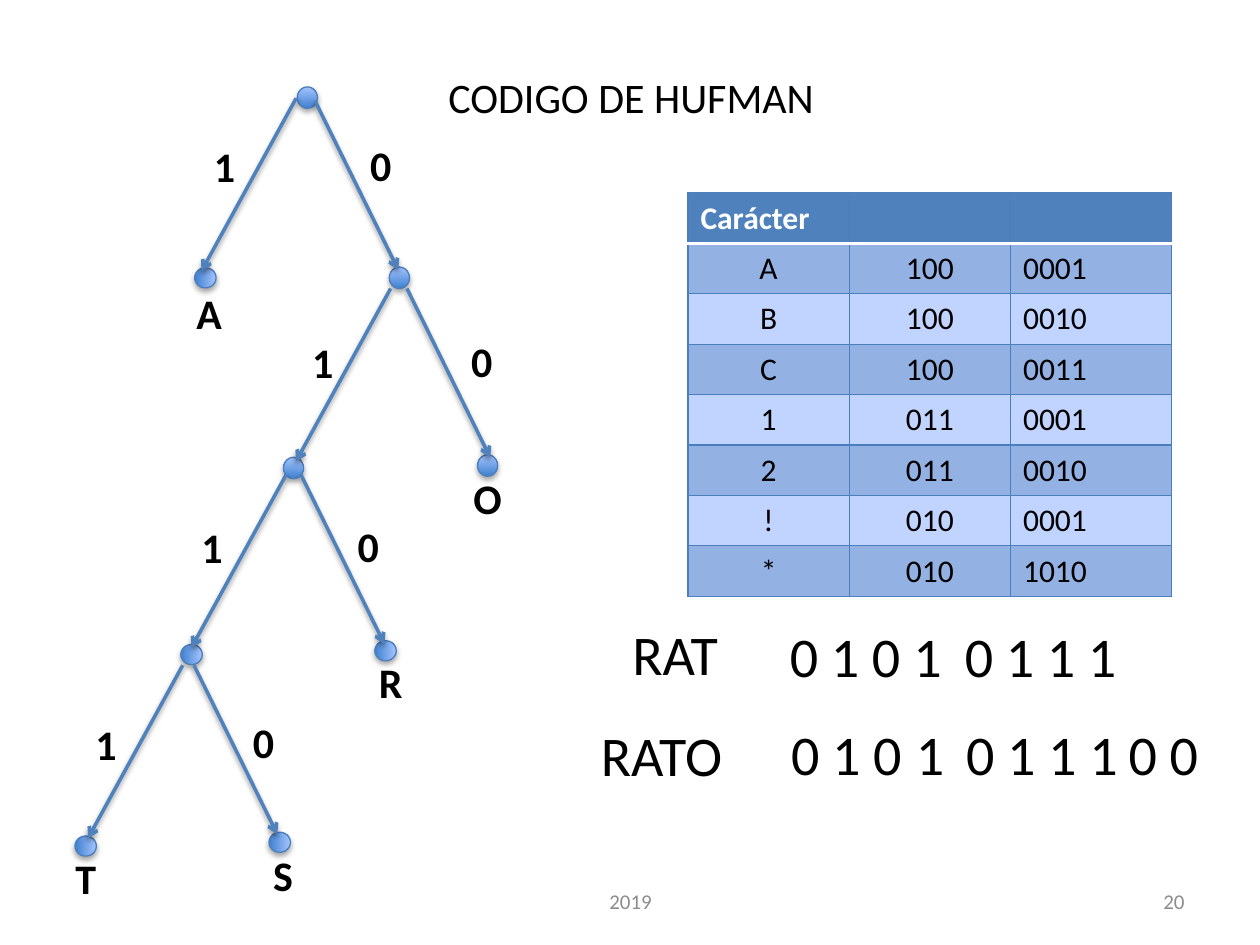
from lxml.etree import SubElement
from pptx import Presentation
from pptx.dml.color import RGBColor
from pptx.enum.shapes import MSO_CONNECTOR, MSO_SHAPE
from pptx.enum.text import MSO_ANCHOR, MSO_AUTO_SIZE, PP_ALIGN
from pptx.oxml.ns import qn
from pptx.util import Emu, Pt

PX = 9144  # 100 px to the inch
FONT = "Calibri"
COLORS = {
    "text": "000000", "footer": "8C8C8C", "white": "FFFFFF",
    "blue": "4F81BD", "outline": "4B7EBC",
    "node_dark": "3F80CE", "node_light": "A4C4FF",
    "band_dark": "93B1E3", "band_light": "C0D4FF",
}


def px(length):
    return Emu(length * PX)


def rgb(name):
    return RGBColor.from_string(COLORS[name])


def write(frame, text, size=24, color="text", bold=False, align=PP_ALIGN.LEFT):
    para = frame.paragraphs[0]
    para.alignment = align
    span = para.add_run()
    span.text = text
    span.font.name = FONT
    span.font.size = Pt(size)
    span.font.bold = bold
    span.font.color.rgb = rgb(color)


def add_shadow(shape, opacity, distance):
    effects = SubElement(shape._element.spPr, qn("a:effectLst"))
    shadow = SubElement(effects, qn("a:outerShdw"), blurRad=str(Pt(3.1)),
                        dist=str(Pt(distance)), dir="5400000", rotWithShape="0")
    tint = SubElement(shadow, qn("a:srgbClr"), val="000000")
    SubElement(tint, qn("a:alpha"), val=str(opacity * 1000))


class SlideBuilder:
    def __init__(self, page):
        self.page = page

    def text(self, text, left, top, width, height, anchor=None, **style):
        box = self.page.shapes.add_textbox(px(left), px(top), px(width), px(height))
        frame = box.text_frame
        frame.word_wrap = True
        if anchor is None:
            frame.auto_size = MSO_AUTO_SIZE.SHAPE_TO_FIT_TEXT
        else:
            frame.vertical_anchor = anchor
        write(frame, text, **style)

    def node(self, left, top, rotation):
        dot = self.page.shapes.add_shape(MSO_SHAPE.OVAL, px(left), px(top), px(16), px(17))
        dot.rotation = rotation
        dot.fill.gradient()
        dot.fill.gradient_angle = 90
        stops = zip(dot.fill.gradient_stops, (0, 1), ("node_dark", "node_light"))
        for stop, position, color in stops:
            stop.position = position
            stop.color.rgb = rgb(color)
        dot.line.color.rgb = rgb("outline")
        dot.line.width = Pt(0.75)
        add_shadow(dot, 35, 1.8)

    def arrow(self, left, top, across, down):
        edge = self.page.shapes.add_connector(
            MSO_CONNECTOR.STRAIGHT, px(left), px(top), px(left + across), px(top + down))
        edge.line.color.rgb = rgb("blue")
        edge.line.width = Pt(2)
        SubElement(edge.line._get_or_add_ln(), qn("a:tailEnd"), type="arrow")
        add_shadow(edge, 38, 1.6)

    def cell(self, cell, text, fill, top, bottom, **style):
        cell.fill.solid()
        cell.fill.fore_color.rgb = rgb(fill)
        if text:
            write(cell.text_frame, text, size=18, **style)
        properties = cell._tc.get_or_add_tcPr()
        borders = {"lnL": "outline", "lnR": "outline", "lnT": top, "lnB": bottom}
        for index, (side, color) in enumerate(borders.items()):
            width = Pt(2) if color == "white" else Pt(0.75)
            border = SubElement(properties, qn(f"a:{side}"), w=str(width))
            solid = SubElement(border, qn("a:solidFill"))
            SubElement(solid, qn("a:srgbClr"), val=COLORS[color])
            properties.insert(index, border)

    def table(self, rows, left, top, column_width, row_height):
        columns = len(rows[0])
        table = self.page.shapes.add_table(
            len(rows), columns, px(left), px(top),
            px(column_width * columns), px(row_height * len(rows))).table
        table.horz_banding = False
        for r, row in enumerate(rows):
            for c, text in enumerate(row):
                if r == 0:
                    look = dict(fill="blue", color="white", bold=True)
                else:
                    look = dict(fill="band_dark" if r % 2 else "band_light",
                                align=PP_ALIGN.CENTER if c < 2 else PP_ALIGN.LEFT)
                self.cell(table.cell(r, c), text,
                          top="white" if r == 1 else "outline",
                          bottom="white" if r == 0 else "outline", **look)


# Tree data: node (left, top, rotation)
NODES = [
    (236, 69, 0), (309, 212, 0), (155, 212, 90), (298, 508, 90), (144, 511, 90),
    (225, 363, 0), (379, 361, 0), (214, 660, 90), (60, 663, 90),
]
# Start of the left edge, start of the right edge, place of "1", place of "0"
BRANCHES = [
    ((235, 78), (250, 80), (160, 107), (284, 106)),
    ((310, 229), (323, 229), (238, 262), (364, 261)),
    ((227, 377), (239, 377), (150, 409), (274, 408)),
    ((145, 528), (154, 528), (66, 565), (191, 564)),
]
LEAVES = [("A", 146, 223), ("O", 366, 370), ("R", 291, 516),
          ("S", 207, 669), ("T", 50, 672)]
CODES = [
    ("Carácter", "", ""),
    ("A", "100", "0001"), ("B", "100", "0010"), ("C", "100", "0011"),
    ("1", "011", "0001"), ("2", "011", "0010"),
    ("!", "010", "0001"), ("*", "010", "1010"),
]
# Encoded words: text, left, top, width
WORDS = [
    ("RAT", 492, 487, 208), ("0 1 0", 617, 488, 116),
    ("1", 715, 488, 47), ("0 1 1 1", 756, 488, 144),
    ("RATO", 467, 567, 208), ("0 1 0", 618, 566, 116),
    ("1", 717, 566, 47), ("0 1 1 1", 757, 566, 144), ("0 0", 886, 566, 81),
]


def main():
    deck = Presentation()
    deck.slide_width, deck.slide_height = px(1000), px(750)
    slide = SlideBuilder(deck.slides.add_slide(deck.slide_layouts[6]))

    # Huffman tree
    for node in NODES:
        slide.node(*node)
    for left_start, right_start, one, zero in BRANCHES:
        slide.arrow(*left_start, -75, 137)
        slide.arrow(*right_start, 66, 134)
        slide.text("1", *one, 67, 50, bold=True)
        slide.text("0", *zero, 54, 50, bold=True)
    for letter, left, top in LEAVES:
        slide.text(letter, left, top, 67, 50, bold=True)

    # Title and code table
    slide.text("CODIGO DE HUFMAN", 346, 52, 355, 50)
    slide.table(CODES, 546, 153, 128, 40)

    # Encoded words
    for word, left, top, width in WORDS:
        slide.text(word, left, top, width, 64, size=32)

    # Footer
    footer = dict(anchor=MSO_ANCHOR.MIDDLE, size=12, color="footer")
    slide.text("2019", 342, 695, 317, 40, align=PP_ALIGN.CENTER, **footer)
    slide.text("20", 717, 695, 233, 40, align=PP_ALIGN.RIGHT, **footer)

    deck.save("out.pptx")


if __name__ == "__main__":
    main()
